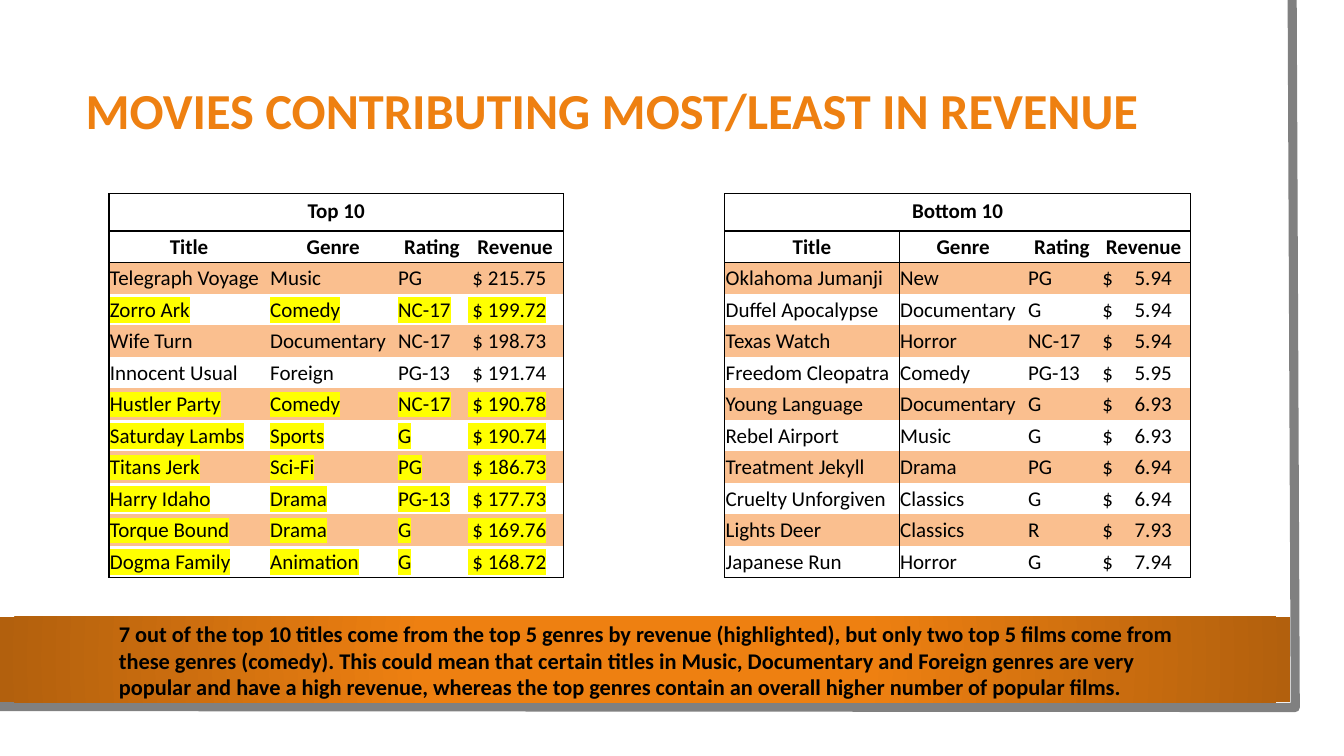
"""Build the slide on the movies that contribute most and least in revenue."""
from dataclasses import dataclass

from lxml import etree
from pptx import Presentation
from pptx import util as u
from pptx.dml.color import RGBColor
from pptx.enum import shapes, text
from pptx.oxml.ns import qn

FONT, ORANGE, PEACH, BLACK = "Calibri", "EE8011", "FABF8F", "000000"
NO_STYLE = "{2D5ABB26-0587-4C30-8999-92F81FD0307C}"
TOP_GENRES = {"Comedy", "Sports", "Sci-Fi", "Drama", "Animation"}
HEADINGS = ("Title", "Genre", "Rating", "Revenue")
COLUMN_WIDTHS = (114.5, 91.4, 49.7, 69.1, 57.6, 57.6, 124.6, 91.4, 49.7, 67)
HEADING_HEIGHT, ROW_HEIGHT = 26.7, 22.5
TABLE_LEFT, TABLE_TOP, INSET = 77.8, 138.4, 0.72


@dataclass(frozen=True)
class Film:
    name: str
    genre: str
    rating: str
    revenue: str


@dataclass(frozen=True)
class Ranking:
    heading: str
    first_column: int
    currency: str
    highlights: bool
    films: tuple[Film, ...]


TOP = Ranking("Top 10", 0, " $ ", True, (
    Film("Telegraph Voyage", "Music", "PG", "215.75"),
    Film("Zorro Ark", "Comedy", "NC-17", "199.72"),
    Film("Wife Turn", "Documentary", "NC-17", "198.73"),
    Film("Innocent Usual", "Foreign", "PG-13", "191.74"),
    Film("Hustler Party", "Comedy", "NC-17", "190.78"),
    Film("Saturday Lambs", "Sports", "G", "190.74"),
    Film("Titans Jerk", "Sci-Fi", "PG", "186.73"),
    Film("Harry Idaho", "Drama", "PG-13", "177.73"),
    Film("Torque Bound", "Drama", "G", "169.76"),
    Film("Dogma Family", "Animation", "G", "168.72"),
))
BOTTOM = Ranking("Bottom 10", 6, " $\t", False, (
    Film("Oklahoma Jumanji", "New", "PG", "5.94"),
    Film("Duffel Apocalypse", "Documentary", "G", "5.94"),
    Film("Texas Watch", "Horror", "NC-17", "5.94"),
    Film("Freedom Cleopatra", "Comedy", "PG-13", "5.95"),
    Film("Young Language", "Documentary", "G", "6.93"),
    Film("Rebel Airport", "Music", "G", "6.93"),
    Film("Treatment Jekyll", "Drama", "PG", "6.94"),
    Film("Cruelty Unforgiven", "Classics", "G", "6.94"),
    Film("Lights Deer", "Classics", "R", "7.93"),
    Film("Japanese Run", "Horror", "G", "7.94"),
))
TAKEAWAY = (
    "7 out of the top 10 titles come from the top 5 genres by revenue (highlighted), "
    "but only two top 5 films come from these genres (comedy). This could mean that "
    "certain titles in Music, Documentary and Foreign genres are very popular and have "
    "a high revenue, whereas the top genres contain an overall higher number of popular films."
)


def color(code: str) -> RGBColor:
    return RGBColor.from_string(code)


def write(frame, words: str, *, size: float = 15, ink: str = BLACK, bold: bool = False,
          align=text.PP_ALIGN.LEFT, spacing: float | None = None,
          highlight: str | None = None, right_tab: float | None = None) -> None:
    paragraph = frame.paragraphs[0]
    paragraph.alignment = align
    paragraph.line_spacing = spacing
    run = paragraph.add_run()
    run.text = words
    run.font.name, run.font.size, run.font.bold = FONT, u.Pt(size), bold
    run.font.color.rgb = color(ink)
    if highlight:
        marker = etree.Element(qn("a:highlight"))
        etree.SubElement(marker, qn("a:srgbClr"), val=highlight)
        run.font._element.find(qn("a:solidFill")).addnext(marker)
    if right_tab:
        stops = etree.SubElement(paragraph._p.get_or_add_pPr(), qn("a:tabLst"))
        etree.SubElement(stops, qn("a:tab"), pos=str(u.Pt(right_tab)), algn="r")


def add_panel(slide, left: float, top: float, width: float, height: float):
    panel = slide.shapes.add_shape(shapes.MSO_SHAPE.RECTANGLE, *map(u.Pt, (left, top, width, height)))
    panel.shadow.inherit = False
    panel.line.fill.background()
    return panel


def add_backdrop(slide) -> None:
    page = add_panel(slide, 0, 0, 943.2, 523.4)
    page.fill.solid()
    page.fill.fore_color.rgb = color("FFFFFF")

    builder = slide.shapes.build_freeform(u.Pt(923), 0)
    builder.add_line_segments([(u.Pt(925.2), u.Pt(505.4)), (u.Pt(-2.2), u.Pt(504.7))], close=False)
    edge = builder.convert_to_shape()
    edge.shadow.inherit = False
    edge.fill.background()
    edge.line.color.rgb = color("808080")
    edge.line.width = u.Pt(6.5)

    band = add_panel(slide, 0, 440.6, 921.6, 61.2)
    band.fill.gradient()
    for stop, (position, shade) in zip(band.fill.gradient_stops, ((0.34, ORANGE), (1, "B2600D"))):
        stop.position = position
        stop.color.rgb = color(shade)
    linear = next(band._element.iter(qn("a:lin")))
    radial = etree.Element(qn("a:path"), path="circle")
    etree.SubElement(radial, qn("a:fillToRect"), {side: "50000" for side in "ltrb"})
    linear.getparent().replace(linear, radial)


def add_title(slide) -> None:
    title = slide.shapes.title
    title.left, title.top, title.width, title.height = map(u.Pt, (54, 35.3, 818.6, 90.7))
    frame = title.text_frame
    frame.word_wrap = True
    frame.auto_size = text.MSO_AUTO_SIZE.NONE
    frame.vertical_anchor = text.MSO_ANCHOR.MIDDLE
    write(frame, "MOVIES CONTRIBUTING MOST/LEAST IN REVENUE",
          size=36, ink=ORANGE, bold=True, spacing=0.9)
    slide.shapes._spTree.append(title._element)


def draw_borders(cell, sides: str) -> None:
    properties = cell._tc.get_or_add_tcPr()
    for index, side in enumerate(sides):
        border = etree.Element(qn(f"a:ln{side}"), w=str(u.Pt(1)))
        fill = etree.SubElement(border, qn("a:solidFill"))
        etree.SubElement(fill, qn("a:srgbClr"), val=BLACK)
        properties.insert(index, border)


def fill_ranking(table, ranking: Ranking) -> None:
    first, last = ranking.first_column, ranking.first_column + len(HEADINGS) - 1
    heading = table.cell(0, first)
    heading.merge(table.cell(0, last))
    heading.margin_left = heading.margin_right = u.Pt(7.2)
    heading.margin_top = heading.margin_bottom = u.Pt(3.6)
    heading.vertical_anchor = text.MSO_ANCHOR.TOP
    write(heading.text_frame, ranking.heading, bold=True, align=text.PP_ALIGN.CENTER)
    draw_borders(heading, "LRTB")
    draw_borders(table.cell(0, last), "R")

    for column, label in enumerate(HEADINGS, first):
        write(table.cell(1, column).text_frame, label, bold=True, align=text.PP_ALIGN.CENTER)
    for row, film in enumerate(ranking.films, 2):
        marked = ranking.highlights and film.genre in TOP_GENRES
        values = (film.name, film.genre, film.rating, ranking.currency + film.revenue)
        for column, value in enumerate(values, first):
            cell = table.cell(row, column)
            if row % 2 == 0:
                cell.fill.solid()
                cell.fill.fore_color.rgb = color(PEACH)
            write(cell.text_frame, value, highlight="FFFF00" if marked else None,
                  right_tab=53 if "\t" in value else None)
    last_row = len(ranking.films) + 1
    for row in range(1, last_row + 1):
        for column in range(first, last + 1):
            sides = (("L", column == first), ("R", column == last),
                     ("T", row == 1), ("B", row == last_row))
            draw_borders(table.cell(row, column), "".join(side for side, drawn in sides if drawn))


def add_rankings(slide, rankings: tuple[Ranking, ...]) -> None:
    heights = [HEADING_HEIGHT] + [ROW_HEIGHT] * (len(TOP.films) + 1)
    frame = slide.shapes.add_table(
        len(heights), len(COLUMN_WIDTHS), u.Pt(TABLE_LEFT), u.Pt(TABLE_TOP),
        u.Pt(sum(COLUMN_WIDTHS)), u.Pt(sum(heights)))
    table = frame.table
    table.first_row = table.horz_banding = False
    next(table._tbl.iter(qn("a:tableStyleId"))).text = NO_STYLE
    for column, width in zip(table.columns, COLUMN_WIDTHS):
        column.width = u.Pt(width)
    for row, height in zip(table.rows, heights):
        row.height = u.Pt(height)
    for cell in table.iter_cells():
        cell.fill.background()
        cell.margin_left = cell.margin_right = cell.margin_top = u.Pt(INSET)
        cell.margin_bottom = 0
        cell.vertical_anchor = text.MSO_ANCHOR.MIDDLE
        cell.text_frame.paragraphs[0]._p.get_or_add_endParaRPr().set("sz", "1500")
    for ranking in rankings:
        fill_ranking(table, ranking)


def add_takeaway(slide) -> None:
    box = slide.shapes.add_textbox(*map(u.Pt, (TABLE_LEFT, 439.2, 771.8, 65.5)))
    box.text_frame.word_wrap = True
    write(box.text_frame, TAKEAWAY, size=16, bold=True)


def main() -> None:
    deck = Presentation()
    deck.slide_width, deck.slide_height = u.Pt(960), u.Pt(540)
    slide = deck.slides.add_slide(deck.slide_layouts[5])
    add_backdrop(slide)
    add_title(slide)
    add_rankings(slide, (TOP, BOTTOM))
    add_takeaway(slide)
    deck.save("out.pptx")


if __name__ == "__main__":
    main()
